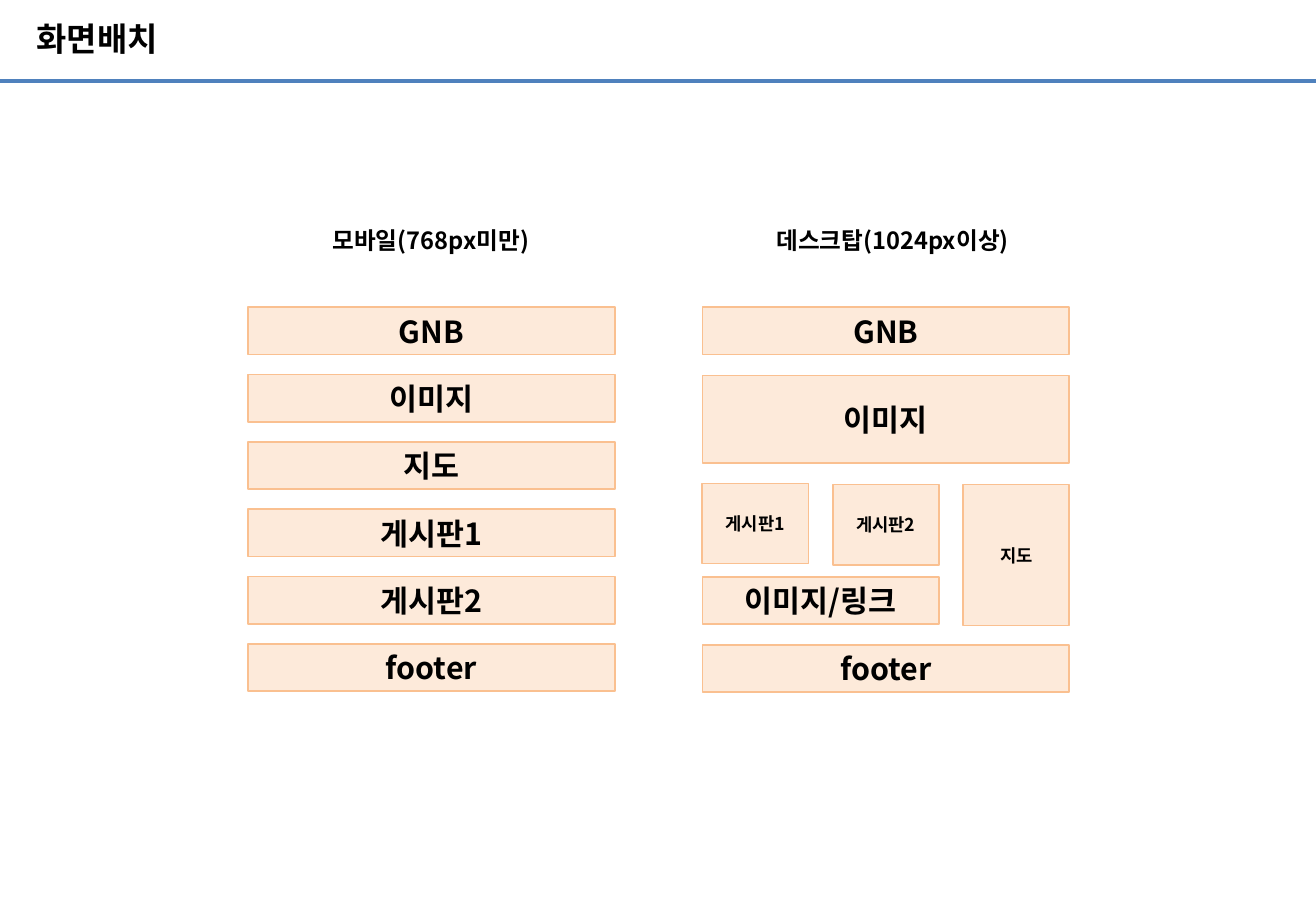
import pptx
import pptx.util
import pptx.dml.color
import pptx.enum.shapes
import pptx.enum.text
import pptx.oxml
import pptx.oxml.ns

WIDTH, HEIGHT = 10.83, 7.5
KOREAN_FONT = "Noto Sans CJK KR"
TITLE = "화면배치"
MOBILE_HEADING = "모바일(768px미만)"
DESKTOP_HEADING = "데스크탑(1024px이상)"
MOBILE_ROWS = ["GNB", "이미지", "지도", "게시판1", "게시판2", "footer"]

MOBILE_LEFT, DESKTOP_LEFT = 2.04, 5.78
PANEL_WIDTH, GAP = 3.02, 0.2
CELL_WIDTH = (PANEL_WIDTH - 2 * GAP) / 3
FIRST_TOP, ROW_PITCH, ROW_HEIGHT = 2.53, 0.554, 0.39
LARGE, SMALL = 18, 10.5

# label, first column, columns spanned, top, height, text size
DESKTOP_BLOCKS = [
    ("GNB", 0, 3, FIRST_TOP, ROW_HEIGHT, LARGE),
    ("이미지", 0, 3, 3.09, 0.72, LARGE),
    ("게시판1", 0, 1, 3.98, 0.66, SMALL),
    ("게시판2", 1, 1, 3.99, 0.66, SMALL),
    ("지도", 2, 1, 3.99, 1.16, SMALL),
    ("이미지/링크", 0, 2, 4.75, ROW_HEIGHT, LARGE),
    ("footer", 0, 3, 5.31, ROW_HEIGHT, LARGE),
]


def color(value):
    return pptx.dml.color.RGBColor.from_string(value)


def inches(*lengths):
    return [pptx.util.Inches(length) for length in lengths]


def write(shape, text, size, font=KOREAN_FONT, align=pptx.enum.text.PP_ALIGN.CENTER):
    frame = shape.text_frame
    frame.word_wrap = True
    frame.auto_size = pptx.enum.text.MSO_AUTO_SIZE.NONE
    frame.vertical_anchor = pptx.enum.text.MSO_ANCHOR.MIDDLE
    para = frame.paragraphs[0]
    para.alignment = align
    span = para.add_run()
    span.text = text
    span.font.size = pptx.util.Pt(size)
    span.font.bold = True
    span.font.name = font
    span.font.color.rgb = color("000000")
    east_asian = pptx.oxml.parse_xml(
        f'<a:ea {pptx.oxml.ns.nsdecls("a")} typeface="{KOREAN_FONT}"/>')
    span.font._element.append(east_asian)
    return para


def add_block(page, text, left, top, width, height, size):
    box = page.shapes.add_shape(
        pptx.enum.shapes.MSO_SHAPE.RECTANGLE, *inches(left, top, width, height))
    box.shadow.inherit = False
    box.fill.solid()
    box.fill.fore_color.rgb = color("FDEADA")
    box.line.color.rgb = color("FAC090")
    box.line.width = pptx.util.Pt(1)
    write(box, text, size)


def add_heading(page, text, left, width):
    box = page.shapes.add_textbox(*inches(left, 1.76, width, 0.44))
    write(box, text, 14)


def add_title(page):
    title = page.shapes.title
    title.left, title.top, title.width, title.height = inches(0.3, 0, 7.09, 0.68)
    frame = title.text_frame
    frame.margin_left = frame.margin_right = frame.margin_top = frame.margin_bottom = 0
    para = write(title, TITLE, 19.5, "Arial", pptx.enum.text.PP_ALIGN.LEFT)
    para.line_spacing = 0.9


def add_rule(page):
    rule = page.shapes.add_connector(
        pptx.enum.shapes.MSO_CONNECTOR.STRAIGHT, *inches(0, 0.67, WIDTH, 0.67))
    rule.line.color.rgb = color("4F81BD")
    rule.line.width = pptx.util.Pt(2.25)
    rule._element.spPr.append(
        pptx.oxml.parse_xml(f'<a:effectLst {pptx.oxml.ns.nsdecls("a")}/>'))


def main():
    deck = pptx.Presentation()
    deck.slide_width, deck.slide_height = inches(WIDTH, HEIGHT)
    page = deck.slides.add_slide(deck.slide_layouts.get_by_name("Title Only"))
    add_rule(page)
    add_title(page)

    add_heading(page, MOBILE_HEADING, 2.14, 2.81)
    for row, label in enumerate(MOBILE_ROWS):
        top = FIRST_TOP + row * ROW_PITCH
        add_block(page, label, MOBILE_LEFT, top, PANEL_WIDTH, ROW_HEIGHT, LARGE)

    add_heading(page, DESKTOP_HEADING, 5.89, 2.91)
    for label, column, columns, top, height, size in DESKTOP_BLOCKS:
        left = DESKTOP_LEFT + column * (CELL_WIDTH + GAP)
        width = columns * CELL_WIDTH + (columns - 1) * GAP
        add_block(page, label, left, top, width, height, size)

    deck.save("out.pptx")


if __name__ == "__main__":
    main()
